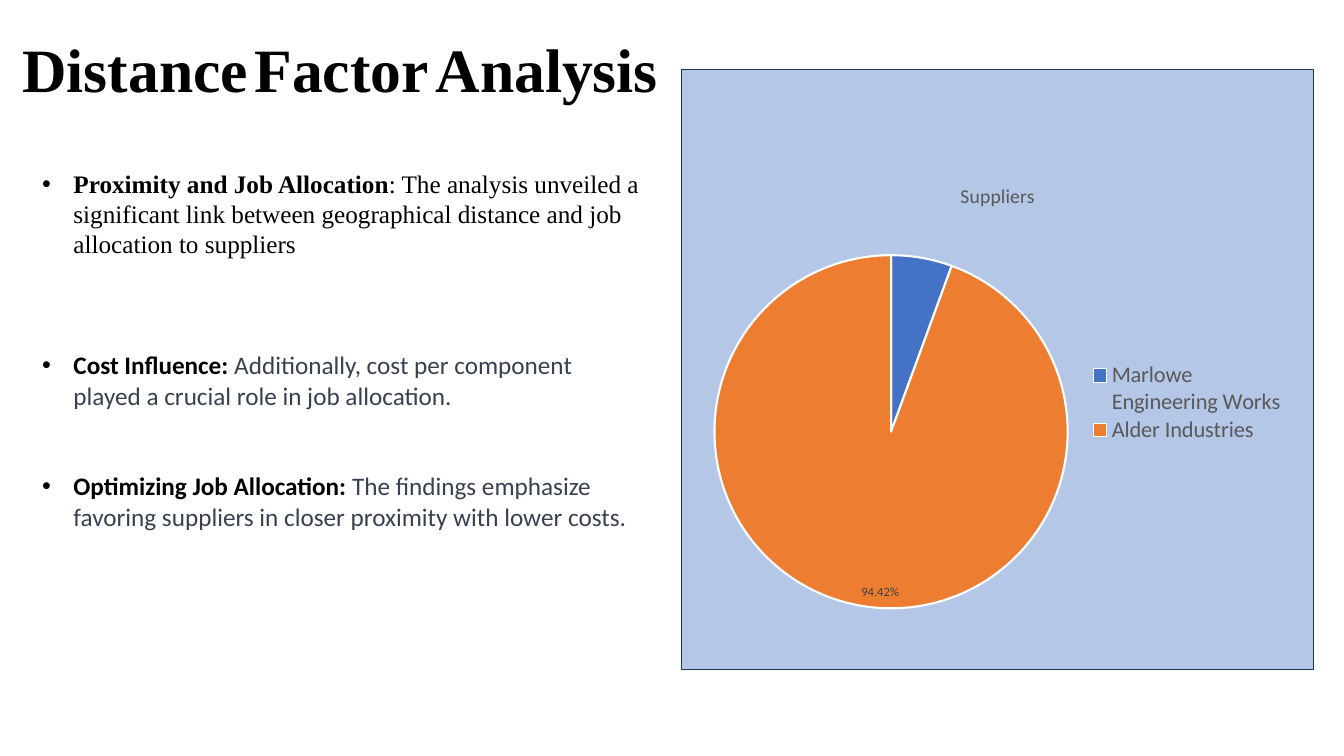
from lxml.etree import SubElement
from pptx import Presentation
from pptx.chart.data import CategoryChartData
from pptx.dml.color import RGBColor
from pptx.enum.chart import XL_CHART_TYPE, XL_LABEL_POSITION, XL_LEGEND_POSITION
from pptx.enum.shapes import MSO_SHAPE
from pptx.enum.text import MSO_ANCHOR, PP_ALIGN
from pptx.oxml import parse_xml
from pptx.oxml.ns import nsdecls, qn
from pptx.util import Inches, Pt

CELL = Inches(0.1)
LINE = 21.6
SERIF, SANS = "Times New Roman", "Calibri"
COLORS = {
    "ink": "000000", "body": "374151", "muted": "595959", "label": "404040",
    "panel": "B4C7E7", "border": "1E3256", "white": "FFFFFF",
    "blue": "4472C4", "orange": "ED7D31",
}
SUPPLIERS = [
    ("Marlowe Engineering Works", 0.0558, "blue"),
    ("Alder Industries", 0.9442, "orange"),
]
FINDINGS = [
    (0, SERIF, "ink", "Proximity and Job Allocation",
     ": The analysis unveiled a significant link between geographical distance "
     "and job allocation to suppliers"),
    (3, SANS, "body", "Cost Influence:",
     " Additionally, cost per component played a crucial role in job allocation."),
    (2, SANS, "body", "Optimizing Job Allocation:",
     " The findings emphasize favoring suppliers in closer proximity with lower costs."),
]


def color(name):
    """Return a named colour."""
    return RGBColor.from_string(COLORS[name])


def grid(col, row, cols, rows):
    """Return left, top, width and height of a box given in grid cells."""
    return [round(n * CELL) for n in (col, row, cols, rows)]


def set_font(font, size, name, shade, bold=False):
    """Set size, face, colour and weight of a font."""
    font.size, font.name, font.bold = Pt(size), name, bold
    font.color.rgb = color(shade)


def add_run(p, text, *style):
    """Add one styled run to a paragraph."""
    r = p.add_run()
    r.text = text
    set_font(r.font, *style)


def add_title(s, box):
    """Move the title placeholder to the box and fill it word by word."""
    sp = s.shapes.title
    sp.left, sp.top, sp.width, sp.height = box
    tf = sp.text_frame
    tf.word_wrap = True
    tf.vertical_anchor = MSO_ANCHOR.TOP
    p = tf.paragraphs[0]
    p.alignment = PP_ALIGN.LEFT
    p.line_spacing = 1.0
    for i, word in enumerate(("Distance", "Factor", "Analysis")):
        if i:
            add_run(p, " ", 18, SERIF, "ink", True)
        add_run(p, word, 44, SERIF, "ink", True)


def add_findings(s, box):
    """Place the bulleted findings in the box."""
    tf = s.shapes.add_textbox(*box).text_frame
    tf.word_wrap = True
    for i, (gap, face, shade, head, text) in enumerate(FINDINGS):
        p = tf.add_paragraph() if i else tf.paragraphs[0]
        p.line_spacing = Pt(LINE)
        p.space_before = Pt(gap * LINE)
        pPr = p._p.get_or_add_pPr()
        pPr.set("marL", str(Inches(0.31)))
        pPr.set("indent", str(-Inches(0.31)))
        SubElement(pPr, qn("a:buFont")).set("typeface", "Arial")
        SubElement(pPr, qn("a:buChar")).set("char", "•")
        add_run(p, head, 18, face, "ink", True)
        add_run(p, text, 18, face, shade)


def place(parent, x, y, w, h, inner=False):
    """Give a chart part a fixed layout in shares of the chart's size."""
    for old in parent.findall(qn("c:layout")):
        parent.remove(old)
    target = '<c:layoutTarget val="inner"/>' if inner else ""
    layout = parse_xml(
        f'<c:layout {nsdecls("c")}><c:manualLayout>{target}'
        '<c:xMode val="edge"/><c:yMode val="edge"/>'
        f'<c:x val="{x}"/><c:y val="{y}"/><c:w val="{w}"/><c:h val="{h}"/>'
        "</c:manualLayout></c:layout>")
    parent.insert(0 if inner else 1, layout)


def add_suppliers(s, box):
    """Draw the panel and the supplier pie inside the box."""
    left, top, width, height = box
    sp = s.shapes.add_shape(MSO_SHAPE.RECTANGLE, *box)
    sp.shadow.inherit = False
    sp.fill.solid()
    sp.fill.fore_color.rgb = color("panel")
    sp.line.color.rgb = color("border")
    sp.line.width = Pt(1)

    data = CategoryChartData(number_format="0.00%")
    data.categories = [name for name, _, _ in SUPPLIERS]
    data.add_series("Suppliers", [share for _, share, _ in SUPPLIERS])
    dx, dy, cols, rows = grid(2, 9.3, 58.7, 48)
    chart = s.shapes.add_chart(
        XL_CHART_TYPE.PIE, left + dx, top + dy, cols, rows, data).chart
    set_font(chart.font, 10, SANS, "ink")

    chart.has_title = True
    add_run(chart.chart_title.text_frame.paragraphs[0],
            "Suppliers", 14, SANS, "muted")
    chart.chart_title.include_in_layout = False
    chart.has_legend = True
    chart.legend.position = XL_LEGEND_POSITION.RIGHT
    chart.legend.include_in_layout = False
    set_font(chart.legend.font, 16, SANS, "muted")

    plot = chart.plots[0]
    plot.vary_by_categories = True
    series = plot.series[0]
    for i, (_, _, shade) in enumerate(SUPPLIERS):
        slice_format = series.points[i].format
        slice_format.fill.solid()
        slice_format.fill.fore_color.rgb = color(shade)
        slice_format.line.color.rgb = color("white")
        slice_format.line.width = Pt(1.5)
    label = series.points[1].data_label
    set_font(label.font, 9, SANS, "label")
    label.position = XL_LABEL_POSITION.INSIDE_END

    plot_area = chart._chartSpace.chart.plotArea
    place(plot_area, 0.02, 0.19, 0.6, 0.73, inner=True)
    place(chart.legend._element, 0.65, 0.41, 0.34, 0.17)


def main():
    """Build the slide and save it."""
    prs = Presentation()
    prs.slide_width, prs.slide_height = Inches(13.33), Inches(7.5)
    s = prs.slides.add_slide(prs.slide_layouts[5])
    add_suppliers(s, grid(67.6, 6.9, 62.7, 59.5))
    add_title(s, grid(1.2, 2.6, 67.3, 15.8))
    add_findings(s, grid(3.2, 16.2, 61.5, 43.4))
    prs.save("out.pptx")


if __name__ == "__main__":
    main()
